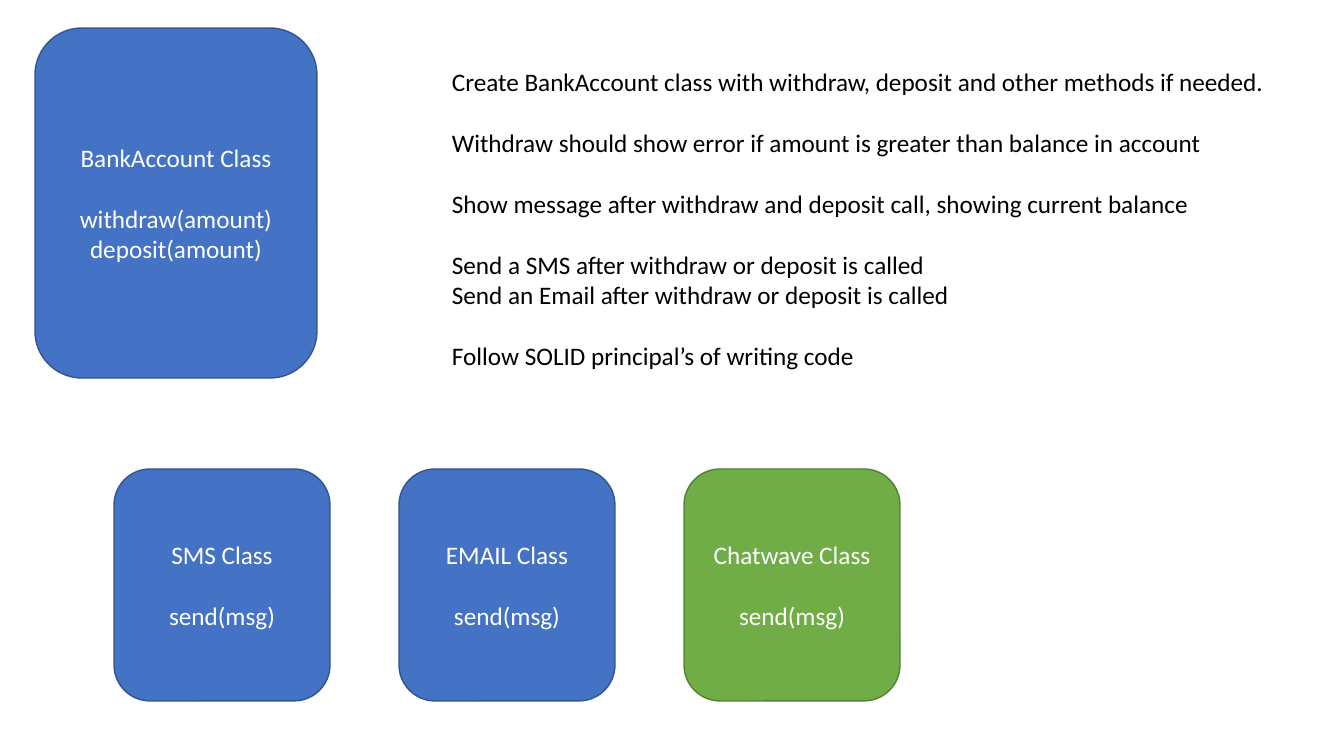
"""Build a slide with a class design task and its four class boxes."""
from pptx import Presentation, util as u
from pptx.dml.color import RGBColor
from pptx.enum import shapes, text

PX = 914400 / 100.8
BLUE, GREEN = ("4472C4", "325491"), ("70AD47", "538035")
WHITE, BLACK = "FFFFFF", "000000"

BANK = [["BankAccount Class"], ["withdraw(amount)", "deposit(amount)"]]
SENDERS = [("SMS", BLUE), ("EMAIL", BLUE), ("Chatwave", GREEN)]
TASKS = [
    ["Create BankAccount class with withdraw, deposit and other methods if needed."],
    ["Withdraw should show error if amount is greater than balance in account"],
    ["Show message after withdraw and deposit call, showing current balance"],
    ["Send a SMS after withdraw or deposit is called",
     "Send an Email after withdraw or deposit is called"],
    ["Follow SOLID principal’s of writing code"],
]
LEFT, TOP, WIDTH, HEIGHT, STEP = 114, 469, 216, 232, 285


def px(*nums):
    return [u.Emu(round(n * PX)) for n in nums]


def color(code):
    return RGBColor.from_string(code)


def write(shape, groups, ink, align, anchor):
    frame = shape.text_frame
    frame.word_wrap = True
    frame.vertical_anchor = anchor
    lines = [(line, i > 0 and j == 0)
             for i, group in enumerate(groups) for j, line in enumerate(group)]
    for n, (line, gap) in enumerate(lines):
        para = frame.add_paragraph() if n else frame.paragraphs[0]
        para.alignment = align
        para.space_before = u.Pt(22 if gap else 0)
        run = para.add_run()
        run.text = line
        for key, value in {"name": "Calibri", "size": u.Pt(18)}.items():
            setattr(run.font, key, value)
        run.font.color.rgb = color(ink)


def box(slide, place, groups, paint):
    shape = slide.shapes.add_shape(shapes.MSO_SHAPE.ROUNDED_RECTANGLE, *px(*place))
    fill, edge = paint
    shape.shadow.inherit = False
    shape.fill.solid()
    shape.fill.fore_color.rgb = color(fill)
    shape.line.color.rgb = color(edge)
    shape.line.width = u.Pt(1)
    write(shape, groups, WHITE, text.PP_ALIGN.CENTER, text.MSO_ANCHOR.MIDDLE)


def main():
    deck = Presentation()
    deck.slide_width, deck.slide_height = px(1344, 756)
    slide = deck.slides.add_slide(deck.slide_layouts[6])
    box(slide, (35, 28, 282, 350), BANK, BLUE)
    for i, (name, paint) in enumerate(SENDERS):
        place = LEFT + i * STEP, TOP, WIDTH, HEIGHT
        box(slide, place, [[f"{name} Class"], ["send(msg)"]], paint)
    tasks = slide.shapes.add_textbox(*px(442, 61, 842, 315))
    write(tasks, TASKS, BLACK, text.PP_ALIGN.LEFT, text.MSO_ANCHOR.TOP)
    deck.save("out.pptx")


if __name__ == "__main__":
    main()
